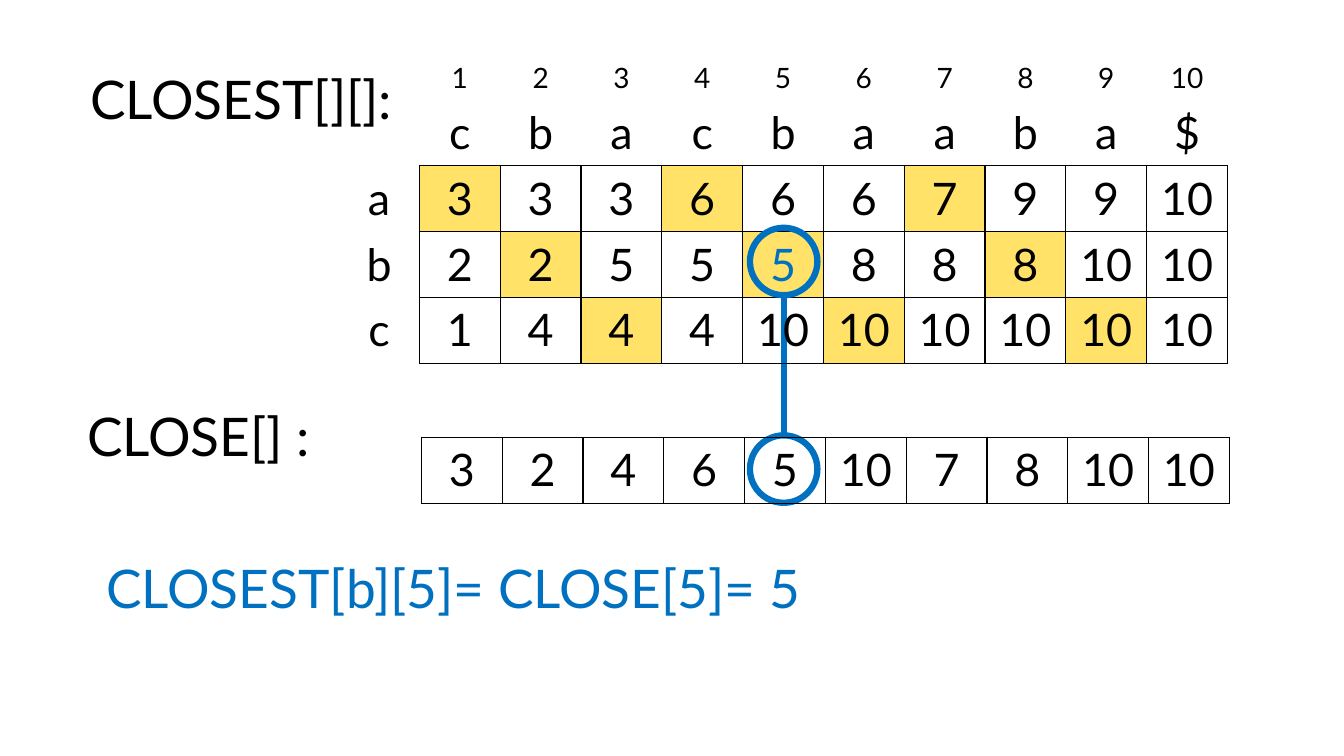
from lxml.etree import SubElement
from pptx import Presentation
from pptx.dml.color import RGBColor
from pptx.enum.shapes import MSO_CONNECTOR as Connector, MSO_SHAPE as Shape
from pptx.enum.text import MSO_ANCHOR as Anchor, MSO_AUTO_SIZE as AutoSize, PP_ALIGN as Align
from pptx.oxml import parse_xml
from pptx.oxml.ns import nsdecls, qn
from pptx.util import Pt

BLACK = RGBColor(0x00, 0x00, 0x00)
WHITE = RGBColor(0xFF, 0xFF, 0xFF)
BLUE = RGBColor(0x00, 0x70, 0xC0)
YELLOW = RGBColor(0xFF, 0xE2, 0x67)

SEQUENCE = "cbacbaaba$"
ALPHABET = "abc"
LENGTH = len(SEQUENCE)
MARKED_COLUMN = 5
COLUMN_WIDTH, ROW_HEIGHT = 57.74, 47.1
CIRCLE_SIZE, CIRCLE_LEFT = 48.2, 535.7
CIRCLE_TOPS = (162.7, 311)


class Diagram:
    font = "Lato"
    title_size, cell_size, index_size = 38, 32, 20
    stroke, grid = 4.5, 1

    def __init__(self, page):
        self.shapes = page.shapes

    def add_text(self, para, text, size, color):
        para.alignment = Align.CENTER
        span = para.add_run()
        span.text = text
        for name, value in {"name": self.font, "size": Pt(size)}.items():
            setattr(span.font, name, value)
        span.font.color.rgb = color

    def label(self, text, left, top, width, height, color=BLACK):
        box = self.shapes.add_textbox(Pt(left), Pt(top), Pt(width), Pt(height))
        frame = box.text_frame
        for name, value in {"word_wrap": False, "auto_size": AutoSize.SHAPE_TO_FIT_TEXT}.items():
            setattr(frame, name, value)
        self.add_text(frame.paragraphs[0], text, self.title_size, color)

    def circle(self, left, top):
        ring = self.shapes.add_shape(
            Shape.OVAL, Pt(left), Pt(top), Pt(CIRCLE_SIZE), Pt(CIRCLE_SIZE))
        ring.shadow.inherit = False
        ring.fill.background()
        ring.line.color.rgb = BLUE
        ring.line.width = Pt(self.stroke)

    def link(self, x, top, bottom):
        line = self.shapes.add_connector(
            Connector.STRAIGHT, Pt(x), Pt(top), Pt(x), Pt(bottom))
        line.line.color.rgb = BLUE
        line.line.width = Pt(self.stroke)
        SubElement(line._element.spPr, qn("a:effectLst"))

    def borders(self, cell, colors):
        properties = cell._tc.get_or_add_tcPr()
        for position, side in enumerate("LRTB"):
            properties.insert(position, parse_xml(
                f'<a:ln{side} {nsdecls("a")} w="{Pt(self.grid)}"><a:solidFill>'
                f'<a:srgbClr val="{colors.get(side, BLACK)}"/></a:solidFill></a:ln{side}>'))

    def table(self, rows, left, top, style):
        height, width = len(rows), len(rows[0])
        table = self.shapes.add_table(
            height, width, Pt(left), Pt(top),
            Pt(width * COLUMN_WIDTH), Pt(height * ROW_HEIGHT)).table
        table.first_row = table.horz_banding = False
        for column in table.columns:
            column.width = Pt(COLUMN_WIDTH)
        for row_index, values in enumerate(rows):
            table.rows[row_index].height = Pt(ROW_HEIGHT)
            for column_index, value in enumerate(values):
                cell = table.cell(row_index, column_index)
                look = {"size": self.cell_size, "color": BLACK, "fill": None,
                        "anchor": Anchor.TOP, "borders": {}}
                look.update(style(row_index, column_index))
                cell.vertical_anchor = look["anchor"]
                if look["fill"] is None:
                    cell.fill.background()
                else:
                    cell.fill.solid()
                    cell.fill.fore_color.rgb = look["fill"]
                self.borders(cell, look["borders"])
                if value:
                    self.add_text(cell.text_frame.paragraphs[0], value, look["size"], look["color"])


def next_position(letter, start):
    found = SEQUENCE.find(letter, start)
    return str(found + 1 if found >= 0 else LENGTH)


def closest_style(row, column):
    if row == 0:
        return {"size": Diagram.index_size, "anchor": Anchor.BOTTOM,
                "borders": dict.fromkeys("LRTB", WHITE)}
    if row == 1:
        return {"borders": dict.fromkeys("LRT" if column else "LRTB", WHITE)}
    if column == 0:
        return {"borders": dict.fromkeys("LTB", WHITE)}
    if column < LENGTH and (column - 1) % len(ALPHABET) == row - 2:
        return {"fill": YELLOW, "color": BLUE if column == MARKED_COLUMN else BLACK}
    return {}


def main():
    deck = Presentation()
    deck.slide_width, deck.slide_height = Pt(960), Pt(540)
    diagram = Diagram(deck.slides.add_slide(deck.slide_layouts[6]))

    closest = [[next_position(letter, start) for start in range(LENGTH)] for letter in ALPHABET]
    close = [closest[index % len(ALPHABET)][index] for index in range(LENGTH)]
    headers = [["", *map(str, range(1, LENGTH + 1))], ["", *SEQUENCE]]
    body = [[letter, *values] for letter, values in zip(ALPHABET, closest)]

    diagram.link(CIRCLE_LEFT + CIRCLE_SIZE / 2, CIRCLE_TOPS[0] + CIRCLE_SIZE, CIRCLE_TOPS[1])
    diagram.table(headers + body, 241.9, 24.2, closest_style)
    for top in CIRCLE_TOPS:
        diagram.circle(CIRCLE_LEFT, top)
    diagram.label("CLOSEST[][]:", 51.1, 43.9, 242.6, 53.3)
    diagram.table([close], 301, 312.5, lambda row, column: {})
    diagram.label("CLOSE[] :", 51.1, 284.4, 181.4, 53.3)
    diagram.label("CLOSEST[b][5]= CLOSE[5]= 5", 51.1, 393.1, 545.8, 53.3, BLUE)
    deck.save("out.pptx")


if __name__ == "__main__":
    main()
